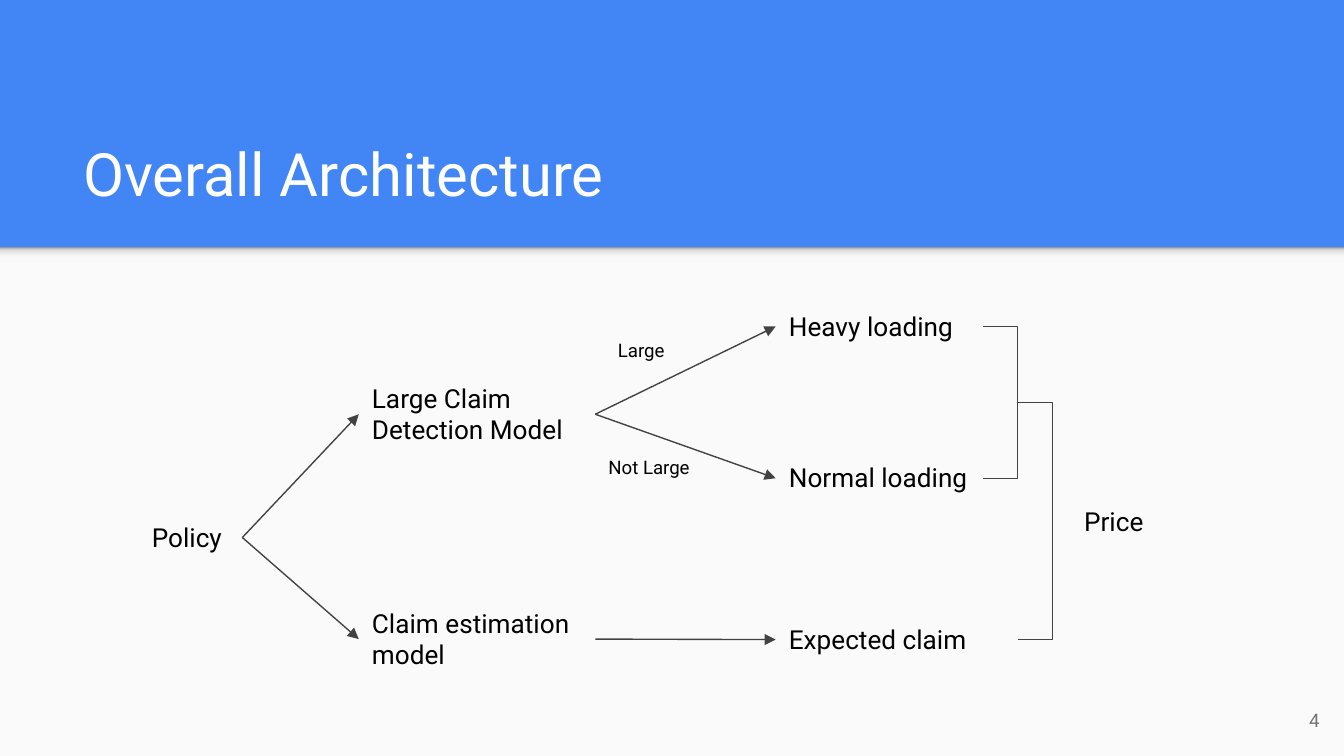
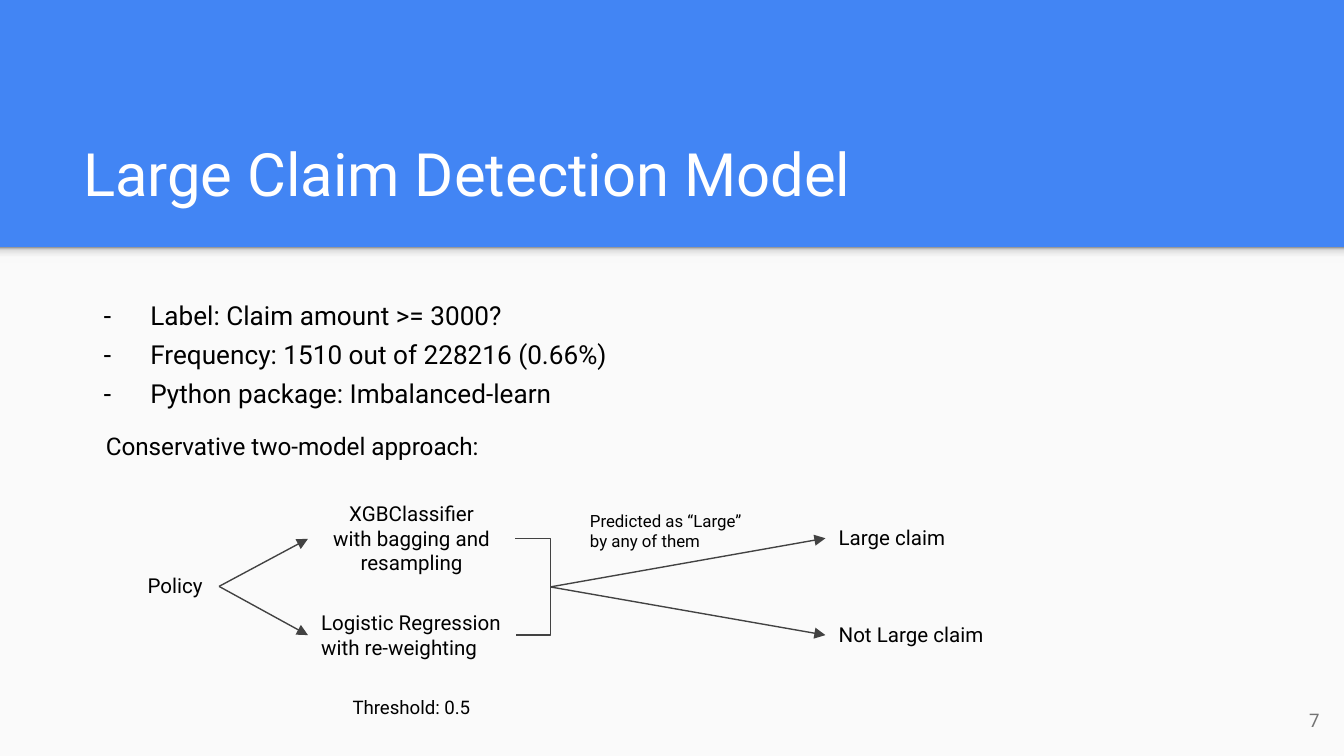
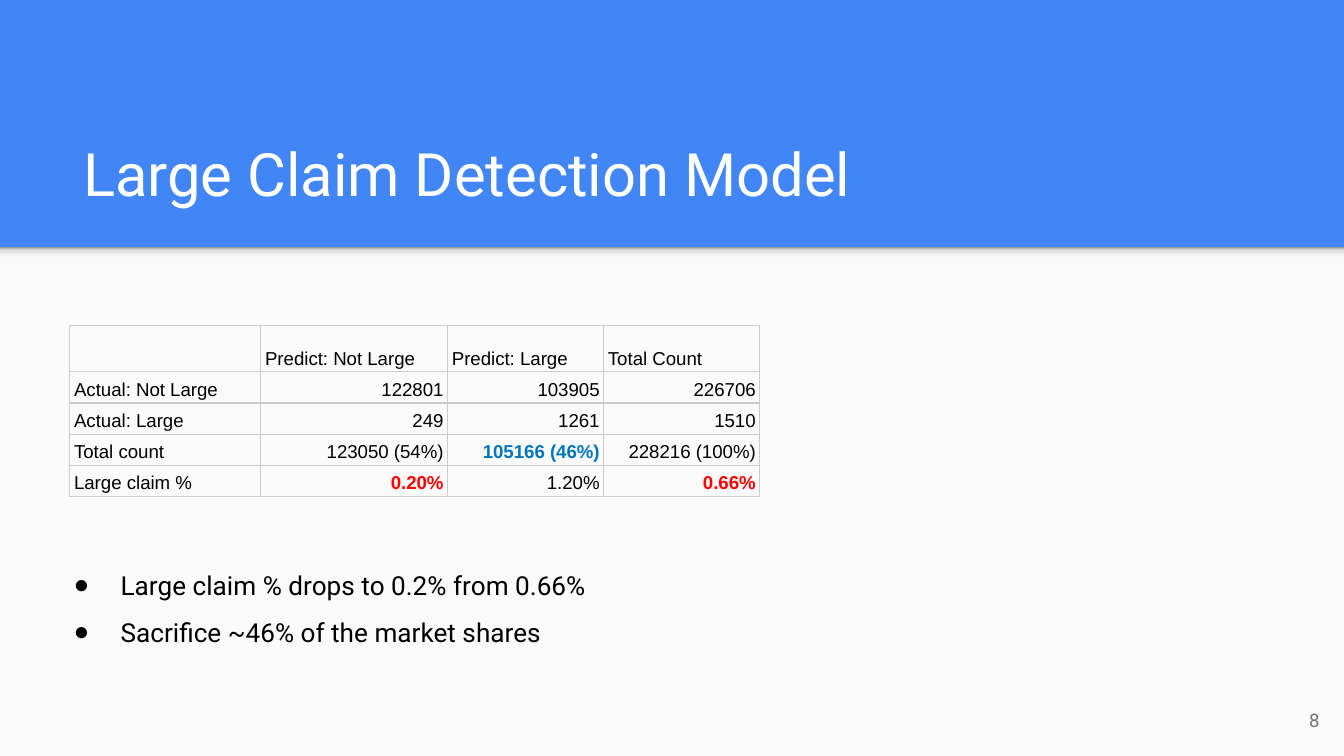
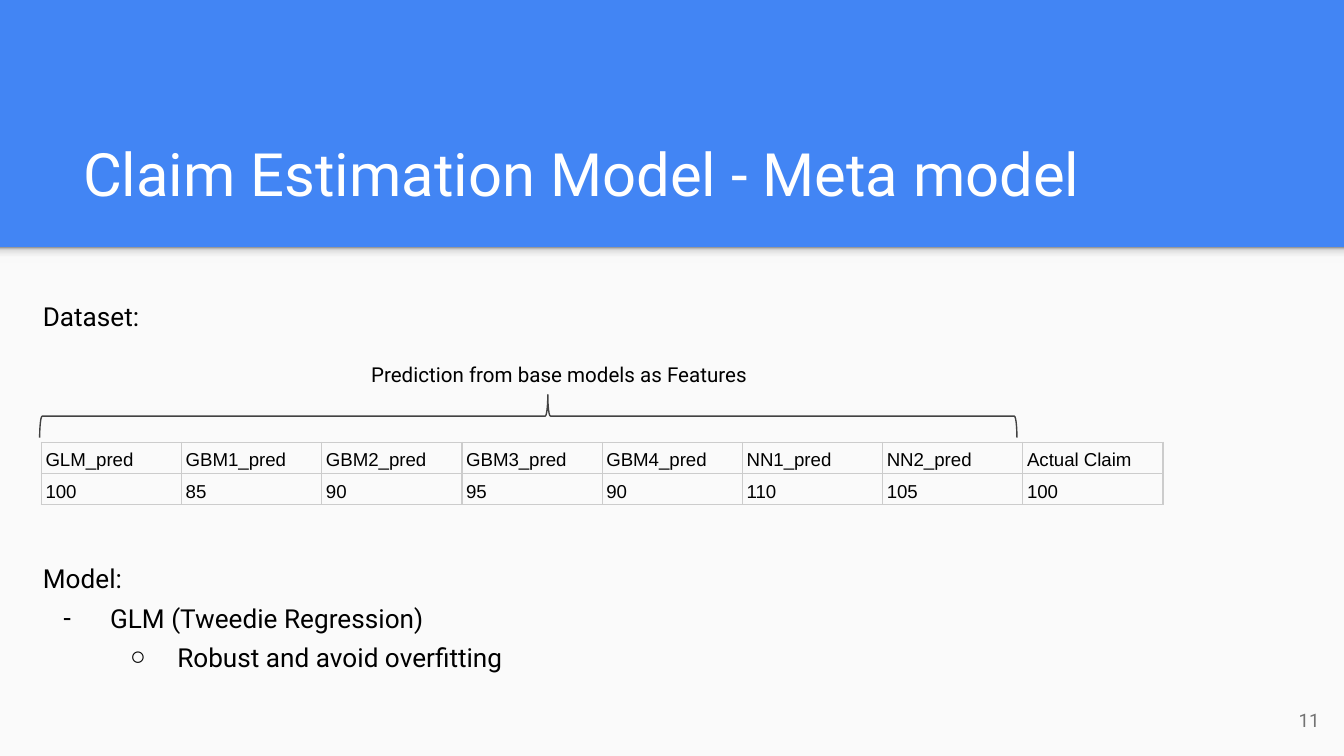
from lxml.etree import SubElement
from pptx import Presentation
from pptx.dml.color import RGBColor
from pptx.enum.shapes import MSO_CONNECTOR as CONN, MSO_SHAPE as SHAPE
from pptx.enum.text import MSO_ANCHOR as ANCHOR, MSO_AUTO_SIZE as FIT, PP_ALIGN as ALIGN
from pptx.oxml.ns import qn
from pptx.util import Cm, Pt

C = {"blue": "4285F4", "paper": "FAFAFA", "white": "FFFFFF", "text": "000000",
     "line": "424242", "number": "737373", "grid": "CCCCCC",
     "good": "0277BD", "alert": "FF0000"}
SHADOW = [(0, "F9F9F9"), (36, "F9F9F9"), (80, "DEDEDE"), (100, "999999")]
FONT = "Roboto"
INSET = 0.25
BRACKET_DEPTH = 0.66
BRACKET_WIDTH = 0.01

ARCHITECTURE = {
    "title": "Overall Architecture", "number": 4, "size": 14,
    "nodes": {
        "policy": ("Policy", 2.62, 9.6, 1.96, 1.12),
        "detect": ("Large Claim Detection Model", 6.78, 6.98, 4.47, 1.7),
        "estimate": ("Claim estimation model", 6.78, 11.23, 4.47, 1.7),
        "heavy": ("Heavy loading", 14.66, 5.61, 3.91, 1.12),
        "normal": ("Normal loading", 14.66, 8.48, 3.91, 1.12),
        "expected": ("Expected claim", 14.66, 11.53, 4.57, 1.12),
        "price": ("Price", 20.24, 9.3, 3.91, 1.12),
    },
    "brackets": {"loading": ("heavy", "normal"), "total": ("loading", "expected")},
    "arrows": [("policy", "detect"), ("policy", "estimate"), ("detect", "heavy"),
               ("detect", "normal"), ("estimate", "expected")],
    "notes": [("Large", 11.43, 6.15, 1.47, 0.94, {"size": 10}),
              ("Not Large", 11.25, 8.36, 2.21, 0.94, {"size": 10})],
}

DETECTION = {
    "title": "Large Claim Detection Model", "number": 7, "size": 11,
    "nodes": {
        "policy": ("Policy", 2.54, 10.59, 1.6, 0.99),
        "xgb": ("XGBClassifier\nwith bagging and resampling", 5.82, 9.22, 3.92, 1.93),
        "logistic": ("Logistic Regression\nwith re-weighting", 5.82, 11.28, 3.92, 1.45),
        "large": ("Large claim", 15.6, 9.68, 3.51, 0.99),
        "small": ("Not Large claim", 15.6, 11.51, 3.51, 0.99),
    },
    "centred": ["xgb"],
    "brackets": {"either": ("xgb", "logistic")},
    "arrows": [("policy", "xgb"), ("policy", "logistic"),
               ("either", "large"), ("either", "small")],
    "notes": [
        ("Predicted as “Large” by any of them", 10.9, 9.4, 3.51, 1.27, {"size": 9}),
        ("Threshold: 0.5", 5.92, 12.9, 3.71, 0.94, {"size": 10, "align": ALIGN.CENTER}),
        ("Conservative two-model approach:", 1.75, 7.9, 8.33, 1.07, {"size": 13}),
    ],
    "list": {"at": (1.32, 5.26, 18.82, 2.62), "spacing": 1.25, "items": [
        ("-", 0, "Label: Claim amount >= 3000?"),
        ("-", 0, "Frequency: 1510 out of 228216 (0.66%)"),
        ("-", 0, "Python package: Imbalanced-learn")]},
}

RESULTS = {
    "title": "Large Claim Detection Model", "number": 8,
    "list": {"at": (0.76, 10.21, 20.62, 2.01), "spacing": 1.5, "items": [
        ("●", 0, "Large claim % drops to 0.2% from 0.66%"),
        ("●", 0, "Sacrifice ~46% of the market shares")]},
    "table": {
        "at": (1.32, 6.15), "cols": [3.61, 3.53, 2.95, 2.95],
        "heights": [0.87] + [0.59] * 4, "right": True,
        "marks": {(3, 2): "good", (4, 1): "alert", (4, 3): "alert"},
        "rows": [["", "Predict: Not Large", "Predict: Large", "Total Count"],
                 ["Actual: Not Large", "122801", "103905", "226706"],
                 ["Actual: Large", "249", "1261", "1510"],
                 ["Total count", "123050 (54%)", "105166 (46%)", "228216 (100%)"],
                 ["Large claim %", "0.20%", "1.20%", "0.66%"]]},
}

META = {
    "title": "Claim Estimation Model - Meta model", "number": 11,
    "notes": [
        ("Dataset:", 0.56, 5.28, 3, 1.12, {"size": 14, "spacing": 1.25}),
        ("Prediction from base models as Features", 5.72, 6.6, 9.7, 0.99,
         {"size": 11, "align": ALIGN.CENTER}),
    ],
    "list": {"at": (0.56, 10.24, 21.39, 2.62), "spacing": 1.25, "items": [
        "Model:",
        ("-", 0, "GLM (Tweedie Regression)"),
        ("○", 1, "Robust and avoid overfitting")]},
    "table": {
        "at": (0.78, 8.36), "cols": [2.65] * 8, "heights": [0.59] * 2,
        "rows": [["GLM_pred", "GBM1_pred", "GBM2_pred", "GBM3_pred",
                  "GBM4_pred", "NN1_pred", "NN2_pred", "Actual Claim"],
                 ["100", "85", "90", "95", "90", "110", "105", "100"]]},
    "brace": (9.58, -1.37, 0.81, 18.47),
}


def rgb(name):
    return RGBColor.from_string(C[name])


def cm(*values):
    return [Cm(v) for v in values]


def write(tf, items, size=14, color="text", font=FONT, bold=False,
          align=ALIGN.LEFT, spacing=1.0):
    for i, item in enumerate(items):
        bullet, level, text = (None, 0, item) if isinstance(item, str) else item
        p = tf.paragraphs[0] if i == 0 else tf.add_paragraph()
        p.alignment, p.line_spacing, p.level = align, spacing, level
        p.space_before = p.space_after = Pt(0)
        pPr = p._p.get_or_add_pPr()
        pPr.set("marL", str(Cm(1.27 * (level + 1)) if bullet else 0))
        pPr.set("indent", str(Cm(-0.89) if bullet else 0))
        if bullet:
            SubElement(pPr, qn("a:buChar"), char=bullet)
        else:
            SubElement(pPr, qn("a:buNone"))
        r = p.add_run()
        r.text = text
        r.font.size, r.font.name, r.font.bold = Pt(size), font, bold
        r.font.color.rgb = rgb(color)


def fill_frame(sp, items, at, anchor=ANCHOR.TOP, **fmt):
    sp.left, sp.top, sp.width, sp.height = cm(*at)
    tf = sp.text_frame
    tf.word_wrap, tf.auto_size, tf.vertical_anchor = True, FIT.NONE, anchor
    tf.margin_left = tf.margin_right = tf.margin_top = tf.margin_bottom = Cm(INSET)
    write(tf, items, **fmt)


def add_text(s, text, *at, **fmt):
    fill_frame(s.shapes.add_textbox(*cm(*at)), text.split("\n"), at, **fmt)


def add_line(s, start, end, kind=CONN.STRAIGHT, arrow=False):
    cx = s.shapes.add_connector(kind, *cm(*start, *end))
    cx.line.color.rgb, cx.line.width = rgb("line"), Pt(0.75)
    if arrow:
        SubElement(cx.line._get_or_add_ln(), qn("a:tailEnd"), type="triangle")
    SubElement(cx._element.spPr, qn("a:effectLst"))
    return cx


def add_bracket(s, start, end):
    (x, top), (_, bottom) = start, end
    cx = add_line(s, (x, top), (x + BRACKET_WIDTH, bottom), kind=CONN.ELBOW)
    geom = cx._element.spPr.find(qn("a:prstGeom"))
    guides = geom.find(qn("a:avLst"))
    if guides is None:
        guides = SubElement(geom, qn("a:avLst"))
    bend = round(BRACKET_DEPTH / BRACKET_WIDTH * 100000)
    SubElement(guides, qn("a:gd"), name="adj1", fmla=f"val {bend}")
    return x + BRACKET_DEPTH, (top + bottom) / 2


def add_diagram(s, data):
    entry, leave = {}, {}
    for key, (text, x, y, w, h) in data["nodes"].items():
        align = ALIGN.CENTER if key in data.get("centred", []) else ALIGN.LEFT
        add_text(s, text, x, y, w, h, size=data["size"], align=align)
        entry[key], leave[key] = (x, y + h / 2), (x + w, y + h / 2)
    for key, (upper, lower) in data["brackets"].items():
        x = max(leave[upper][0], leave[lower][0])
        leave[key] = add_bracket(s, (x, leave[upper][1]), (x, leave[lower][1]))
    for source, target in data["arrows"]:
        add_line(s, leave[source], entry[target], arrow=True)


def add_grid(s, data):
    rows, cols, heights = data["rows"], data["cols"], data["heights"]
    frame = s.shapes.add_table(len(rows), len(cols),
                               *cm(*data["at"], sum(cols), sum(heights)))
    table = frame.table
    table.first_row = table.horz_banding = False
    for col, width in zip(table.columns, cols):
        col.width = Cm(width)
    for i, row in enumerate(rows):
        table.rows[i].height = Cm(heights[i])
        for j, text in enumerate(row):
            cell = table.cell(i, j)
            cell.margin_left = cell.margin_right = Cm(0.08)
            cell.margin_top = cell.margin_bottom = Cm(0.05)
            cell.vertical_anchor = ANCHOR.BOTTOM
            for side in ("lnL", "lnR", "lnT", "lnB"):
                ln = SubElement(cell._tc.get_or_add_tcPr(), qn(f"a:{side}"), w=str(Pt(0.75)))
                SubElement(SubElement(ln, qn("a:solidFill")), qn("a:srgbClr"), val=C["grid"])
            cell.fill.background()
            if text:
                mark = data.get("marks", {}).get((i, j))
                right = data.get("right") and i and j
                write(cell.text_frame, [text], size=10, font="Arial", spacing=1.15,
                      color=mark or "text", bold=bool(mark),
                      align=ALIGN.RIGHT if right else ALIGN.LEFT)


def add_brace(s, at):
    sp = s.shapes.add_shape(SHAPE.RIGHT_BRACE, *cm(*at))
    sp.rotation = 270
    sp.adjustments[0], sp.adjustments[1] = 0.06, 0.52
    sp.shadow.inherit = False
    sp.fill.background()
    sp.line.color.rgb, sp.line.width = rgb("line"), Pt(0.75)


def add_backdrop(s):
    paper = s.shapes.add_shape(SHAPE.RECTANGLE, *cm(0, 4.67, 25.4, 9.62))
    paper.fill.solid()
    paper.fill.fore_color.rgb = rgb("paper")
    edge = s.shapes.add_shape(SHAPE.RECTANGLE, *cm(0, 4.67, 25.4, 0.3))
    edge.fill.gradient()
    edge.fill.gradient_angle = 90
    stops = edge._element.spPr.find(".//" + qn("a:gsLst"))
    stops.clear()
    for pos, color in SHADOW:
        gs = SubElement(stops, qn("a:gs"), pos=str(pos * 1000))
        SubElement(gs, qn("a:srgbClr"), val=color)
    for i, sp in enumerate((paper, edge)):
        sp.shadow.inherit = False
        sp.line.fill.background()
        s.shapes._spTree.insert(2 + i, sp._element)


def add_slide(prs, data):
    s = prs.slides.add_slide(prs.slide_layouts[1 if "list" in data else 5])
    add_backdrop(s)
    fill_frame(s.shapes.title, [data["title"]], (1.32, 2.06, 22.83, 2.13),
               anchor=ANCHOR.BOTTOM, size=32, color="white")
    if "list" in data:
        block = data["list"]
        fill_frame(s.placeholders[1], block["items"], block["at"], spacing=block["spacing"])
    if "nodes" in data:
        add_diagram(s, data)
    if "table" in data:
        add_grid(s, data["table"])
    if "brace" in data:
        add_brace(s, data["brace"])
    for text, x, y, w, h, fmt in data.get("notes", []):
        add_text(s, text, x, y, w, h, **fmt)
    add_text(s, str(data["number"]), 23.67, 13.06, 1.52, 1.09, anchor=ANCHOR.MIDDLE,
             size=10, color="number", align=ALIGN.RIGHT)


def main():
    prs = Presentation()
    prs.slide_width, prs.slide_height = cm(25.4, 14.29)
    bg = prs.slide_master.background.fill
    bg.solid()
    bg.fore_color.rgb = rgb("blue")
    for data in (ARCHITECTURE, DETECTION, RESULTS, META):
        add_slide(prs, data)
    prs.save("out.pptx")


if __name__ == "__main__":
    main()
